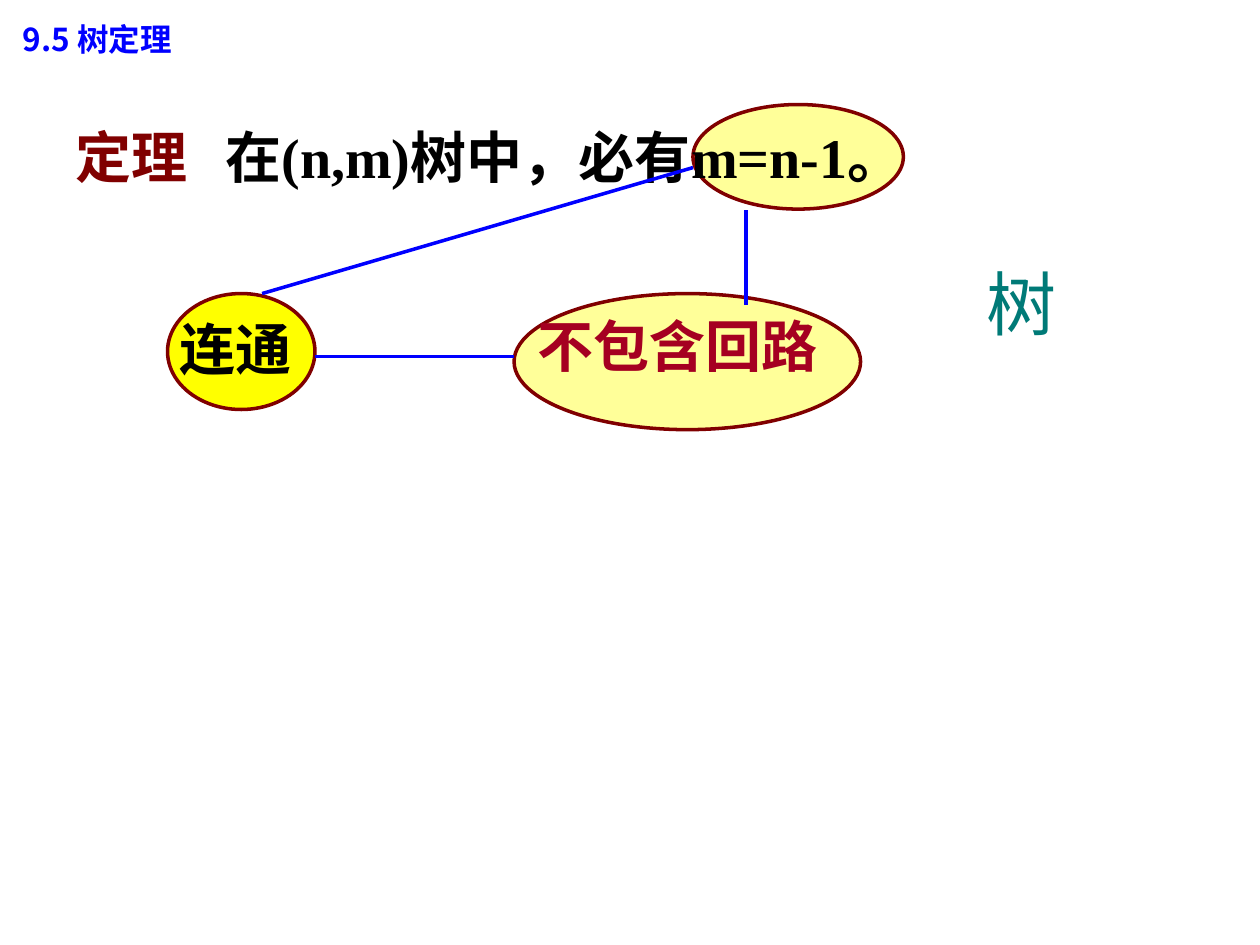
from lxml import etree
from pptx import Presentation
from pptx import util as u
from pptx.dml.color import RGBColor
from pptx.enum import shapes, text
from pptx.oxml.ns import qn


def color(value):
    return RGBColor.from_string(value)


class TreeSlide:
    cjk = "Noto Sans CJK SC"
    serif = "Times New Roman"
    sans = "Arial"
    outline = "800000"
    link = "0000FF"
    pale = "FFFF99"
    weight = u.Pt(2)

    def __init__(self, prs):
        self.s = prs.slides.add_slide(prs.slide_layouts[5])

    def fill_text(self, sp, runs, font, size, bold=True, tab=None):
        tf = sp.text_frame
        frame = {
            "word_wrap": True,
            "auto_size": text.MSO_AUTO_SIZE.NONE,
            "vertical_anchor": text.MSO_ANCHOR.TOP,
            "margin_left": u.Inches(0.1),
            "margin_right": u.Inches(0.1),
            "margin_top": u.Inches(0.05),
            "margin_bottom": u.Inches(0.05),
        }
        for name, value in frame.items():
            setattr(tf, name, value)
        p = tf.paragraphs[0]
        p.alignment = text.PP_ALIGN.LEFT
        if tab:
            stops = etree.SubElement(p._p.get_or_add_pPr(), qn("a:tabLst"))
            etree.SubElement(stops, qn("a:tab"), pos=str(tab), algn="l")
        for words, fill in runs:
            r = p.add_run()
            r.text = words
            style = {"name": font, "size": u.Pt(size), "bold": bold}
            for name, value in style.items():
                setattr(r.font, name, value)
            r.font.color.rgb = color(fill)
            latin = r._r.rPr.find(qn("a:latin"))
            latin.addnext(etree.Element(qn("a:ea"), typeface=self.cjk))

    def title(self, words, x, y, w, h):
        sp = self.s.shapes.title
        place = {"left": x, "top": y, "width": w, "height": h}
        for name, value in place.items():
            setattr(sp, name, u.Inches(value))
        self.fill_text(sp, [(words, self.link)], self.cjk, 18)

    def label(self, runs, x, y, w, h, font, size=32, **style):
        sp = self.s.shapes.add_textbox(*map(u.Inches, (x, y, w, h)))
        self.fill_text(sp, runs, font, size, **style)

    def oval(self, x, y, w, h, fill):
        sp = self.s.shapes.add_shape(
            shapes.MSO_SHAPE.OVAL, *map(u.Inches, (x, y, w, h)))
        sp.shadow.inherit = False
        sp.fill.solid()
        sp.fill.fore_color.rgb = color(fill)
        sp.line.color.rgb = color(self.outline)
        sp.line.width = self.weight

    def line(self, x1, y1, x2, y2):
        sp = self.s.shapes.add_connector(
            shapes.MSO_CONNECTOR.STRAIGHT, *map(u.Inches, (x1, y1, x2, y2)))
        sp.line.color.rgb = color(self.link)
        sp.line.width = self.weight
        etree.SubElement(sp._element.spPr, qn("a:effectLst"))


def main():
    prs = Presentation()
    prs.slide_width = u.Inches(10)
    prs.slide_height = u.Inches(7.5)
    s = TreeSlide(prs)

    s.oval(4.08, 2.33, 2.75, 1.08, s.pale)
    s.oval(1.33, 2.33, 1.17, 0.92, "FFFF00")
    s.oval(5.5, 0.83, 1.67, 0.83, s.pale)

    theorem = [("定理\t", s.outline), ("在(n,m)树中，必有m=n-1。", "000000")]
    s.label(theorem, 0.5, 0.92, 8, 0.64, s.serif, tab=u.Inches(1.19))
    s.label([("连通", "000000")], 1.33, 2.45, 1.6, 0.64, s.serif)
    s.label([("不包含回路", "A50021")], 4.17, 2.42, 3.18, 0.63, s.sans)

    s.line(2.08, 2.33, 5.5, 1.33)
    s.line(5.92, 2.42, 5.92, 1.67)
    s.line(2.5, 2.83, 4.08, 2.83)

    s.label([("树", "007A77")], 7.73, 2.02, 2.02, 0.77, s.sans, 40, bold=False)
    s.title("9.5 树定理", 0.08, 0.11, 3, 0.4)
    prs.save("out.pptx")


if __name__ == "__main__":
    main()
